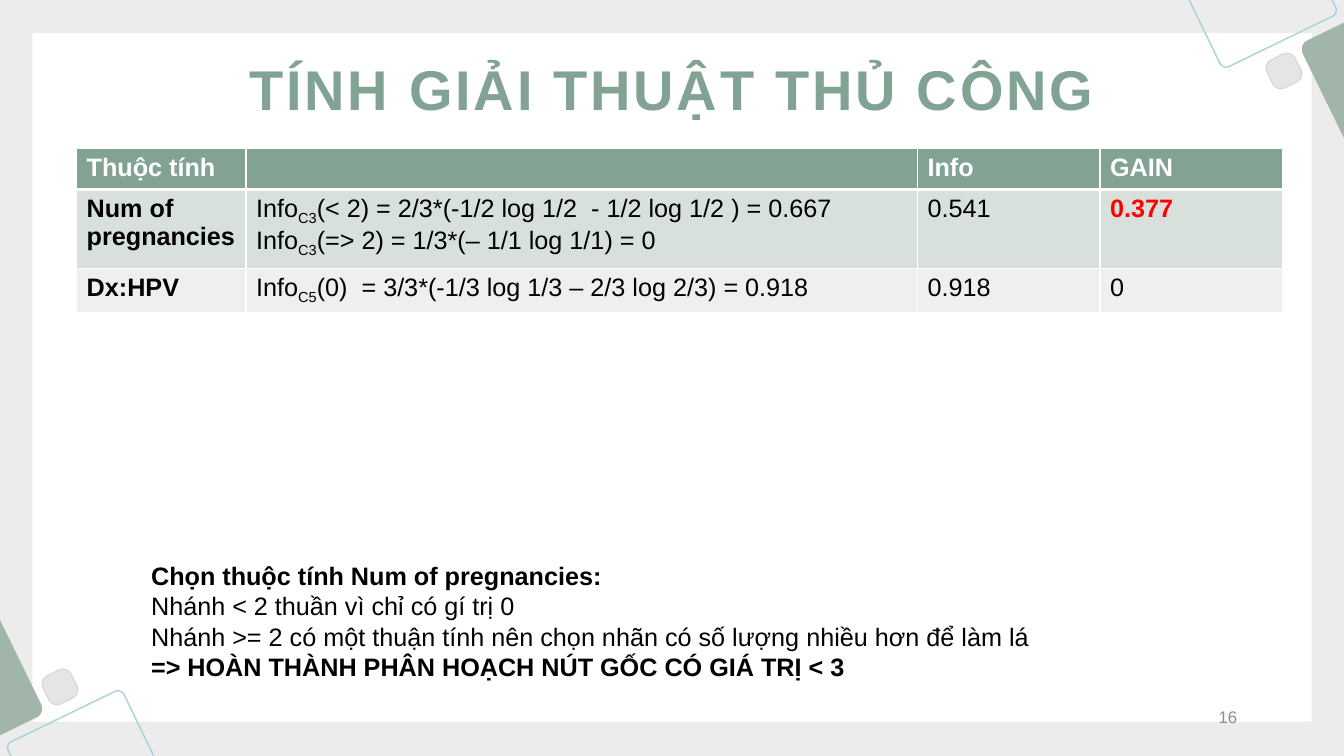
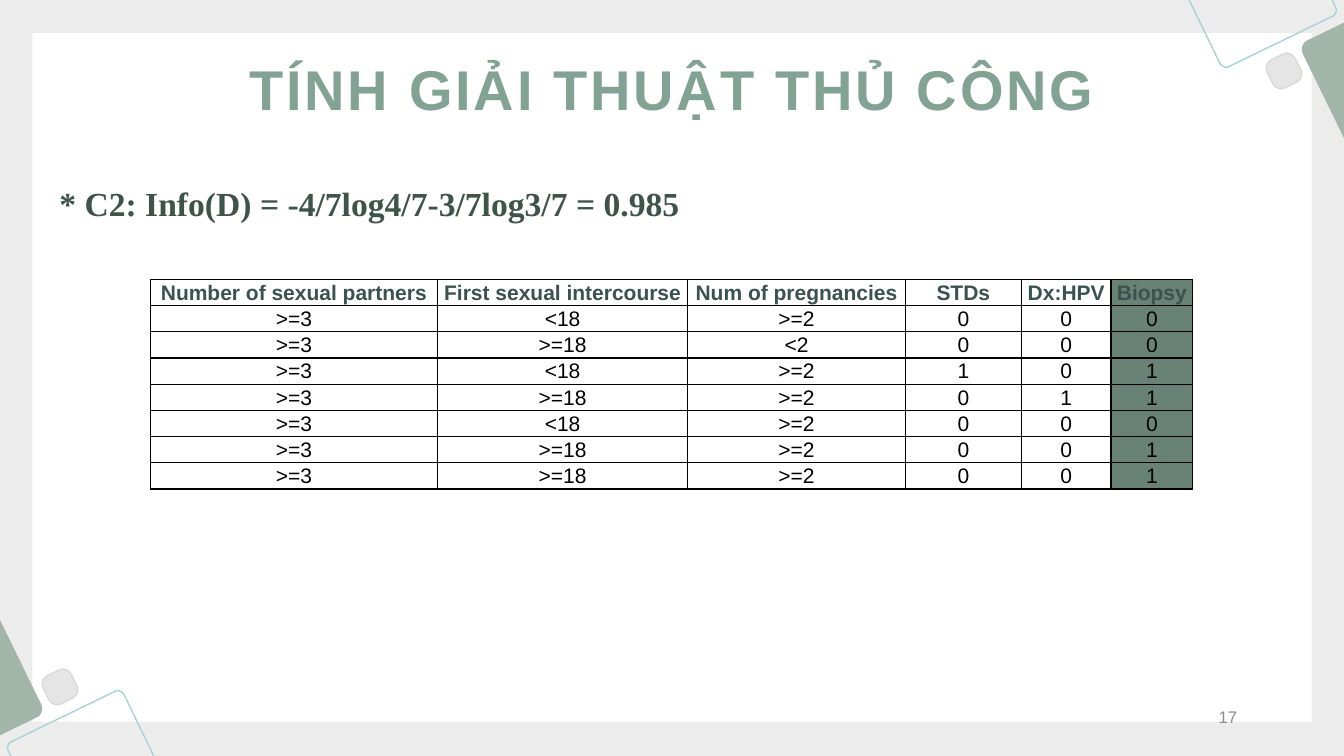
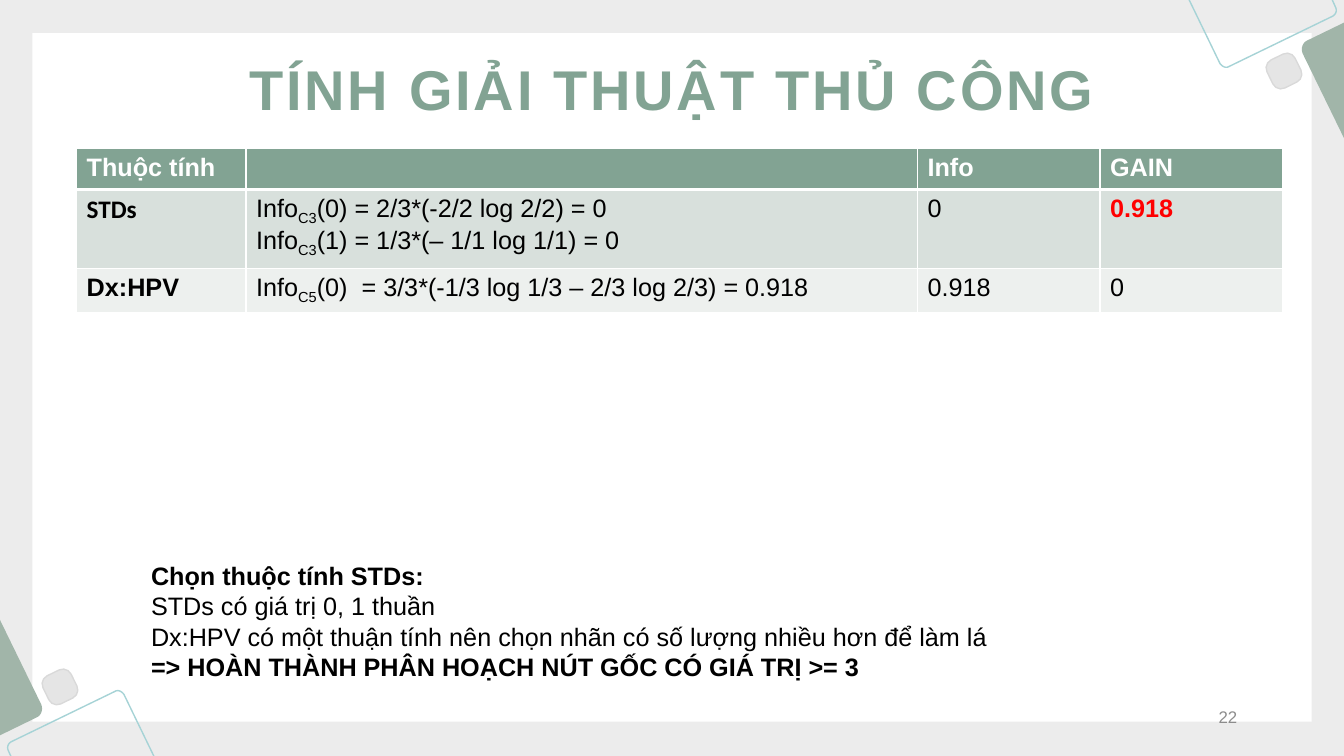
"""Build three slides on working a decision tree algorithm by hand."""
from dataclasses import dataclass

from lxml import etree
from pptx import Presentation
from pptx.dml.color import RGBColor
from pptx.enum.shapes import MSO_SHAPE
from pptx.enum.text import MSO_ANCHOR, MSO_AUTO_SIZE, PP_ALIGN
from pptx.oxml.ns import qn
from pptx.util import Inches, Pt

RECTANGLE, ROUNDED = MSO_SHAPE.RECTANGLE, MSO_SHAPE.ROUNDED_RECTANGLE
MIDDLE, TOP = MSO_ANCHOR.MIDDLE, MSO_ANCHOR.TOP
LEFT, CENTER, RIGHT = PP_ALIGN.LEFT, PP_ALIGN.CENTER, PP_ALIGN.RIGHT
FIT_SHAPE = MSO_AUTO_SIZE.SHAPE_TO_FIT_TEXT

SLIDE_W, SLIDE_H = 13.33, 7.5
MIRROR_H = 7.52
BACKDROP, WHITE, BLACK, RED = "ECECEC", "FFFFFF", "000000", "FF0000"
GREEN, LIGHT_GREEN, TEAL = "82A393", "A1B5A9", "A6D3D6"
SQUARE_FILL, SQUARE_EDGE = "E5E5E5", "D9D9D9"
ROW_FILLS = ("D8E0DC", "EDF0EE")
FORMULA_COLOR, SAMPLE_HEADER, BIOPSY_FILL = "3E544A", "3A5250", "698276"
NUMBER_COLOR = "8C8C8C"

TITLE = "TÍNH GIẢI THUẬT THỦ CÔNG"
GAIN_HEADERS = ("Thuộc tính", "", "Info", "GAIN")
GAIN_WIDTHS = (1.68, 6.66, 1.81, 1.81)
GAIN_HEIGHTS = (0.41, 0.73, 0.41)
SAMPLE_HEADERS = ("Number of sexual partners", "First sexual intercourse",
                  "Num of pregnancies", "STDs", "Dx:HPV", "Biopsy")
SAMPLE_WIDTHS = (2.85, 2.48, 2.16, 1.15, 0.89, 0.81)
SAMPLE_HEIGHT = 0.26
SAMPLES = (
    (">=3", "<18", ">=2", "0", "0", "0"),
    (">=3", ">=18", "<2", "0", "0", "0"),
    (">=3", "<18", ">=2", "1", "0", "1"),
    (">=3", ">=18", ">=2", "0", "1", "1"),
    (">=3", "<18", ">=2", "0", "0", "0"),
    (">=3", ">=18", ">=2", "0", "0", "1"),
    (">=3", ">=18", ">=2", "0", "0", "1"),
)


@dataclass(frozen=True)
class Style:
    size: float
    color: str = BLACK
    bold: bool = False
    font: str = "Arial"
    align: PP_ALIGN = LEFT


@dataclass(frozen=True)
class InfoLine:
    node: str
    formula: str


@dataclass(frozen=True)
class GainRow:
    attribute: str
    lines: tuple[InfoLine, ...]
    info: str
    gain: str
    best: bool = False
    attribute_font: str = "Arial"


@dataclass(frozen=True)
class GainSlide:
    number: int
    rows: tuple[GainRow, ...]
    conclusion: tuple[str, ...]
    conclusion_width: float


@dataclass(frozen=True)
class Outline:
    start: tuple[float, float]
    segments: tuple[tuple[tuple[float, float], ...], ...]
    fill: str | None = None
    line: str | None = None


OUTLINES = (
    Outline((11.79, -0.01),
            (((13.21, -0.01),), ((13.25, 0.08),),
             ((13.26, 0.11), (13.25, 0.14), (13.22, 0.16)),
             ((12.19, 0.66),), ((12.16, 0.68), (12.12, 0.66), (12.1, 0.63))),
            line=TEAL),
    Outline((13.34, 0.22),
            (((13.34, 1.39),), ((12.92, 0.53),),
             ((12.9, 0.48), (12.92, 0.42), (12.97, 0.4))),
            fill=LIGHT_GREEN),
)

HPV_ROW = GainRow("Dx:HPV", (InfoLine("C5", "(0)  = 3/3*(-1/3 log 1/3 – 2/3 log 2/3) = 0.918"),),
                  "0.918", "0")
PREGNANCIES = GainSlide(
    16,
    (GainRow("Num of pregnancies",
             (InfoLine("C3", "(< 2) = 2/3*(-1/2 log 1/2  - 1/2 log 1/2 ) = 0.667"),
              InfoLine("C3", "(=> 2) = 1/3*(– 1/1 log 1/1) = 0")),
             "0.541", "0.377", best=True), HPV_ROW),
    ("Chọn thuộc tính Num of pregnancies:",
     "Nhánh < 2 thuần vì chỉ có gí trị 0",
     "Nhánh >= 2 có một thuận tính nên chọn nhãn có số lượng nhiều hơn để làm lá",
     "=> HOÀN THÀNH PHÂN HOẠCH NÚT GỐC CÓ GIÁ TRỊ < 3"), 8.99)
STDS = GainSlide(
    22,
    (GainRow("STDs",
             (InfoLine("C3", "(0) = 2/3*(-2/2 log 2/2) = 0"),
              InfoLine("C3", "(1) = 1/3*(– 1/1 log 1/1) = 0")),
             "0", "0.918", best=True, attribute_font="Calibri"), HPV_ROW),
    ("Chọn thuộc tính STDs:",
     "STDs có giá trị 0, 1 thuần",
     "Dx:HPV có một thuận tính nên chọn nhãn có số lượng nhiều hơn để làm lá",
     "=> HOÀN THÀNH PHÂN HOẠCH NÚT GỐC CÓ GIÁ TRỊ >= 3"), 8.57)


def rgb(color: str) -> RGBColor:
    return RGBColor.from_string(color)


def paint(shape, fill: str | None, line: str | None) -> None:
    shape.shadow.inherit = False
    if fill:
        shape.fill.solid()
        shape.fill.fore_color.rgb = rgb(fill)
    else:
        shape.fill.background()
    if line:
        shape.line.color.rgb = rgb(line)
        shape.line.width = Pt(1)
    else:
        shape.line.fill.background()


def style_paragraph(paragraph, style: Style) -> None:
    paragraph.alignment = style.align
    for run in paragraph.runs:
        run.font.name = style.font
        run.font.size = Pt(style.size)
        run.font.bold = style.bold
        run.font.color.rgb = rgb(style.color)


def add_text(slide, box: tuple[float, ...], text: str, style: Style, anchor=MIDDLE):
    frame = slide.shapes.add_textbox(*map(Inches, box)).text_frame
    frame.word_wrap = True
    frame.vertical_anchor = anchor
    frame.text = text
    for paragraph in frame.paragraphs:
        style_paragraph(paragraph, style)
    return frame


def bezier(points: tuple[tuple[float, float], ...], steps: int = 8) -> list[tuple[float, float]]:
    weights = [((1 - t) ** 3, 3 * t * (1 - t) ** 2, 3 * t * t * (1 - t), t ** 3)
               for t in (step / steps for step in range(1, steps + 1))]
    return [tuple(sum(w * point[axis] for w, point in zip(row, points)) for axis in (0, 1))
            for row in weights]


def trace(outline: Outline) -> list[tuple[float, float]]:
    points = [outline.start]
    for segment in outline.segments:
        points += bezier((points[-1], *segment)) if len(segment) == 3 else segment
    return points


def add_corner(slide, mirrored: bool) -> list:
    def place(x: float, y: float) -> tuple[int, int]:
        return (Inches(SLIDE_W - x), Inches(MIRROR_H - y)) if mirrored else (Inches(x), Inches(y))

    ornaments = []
    for outline in OUTLINES:
        start, *rest = [place(*point) for point in trace(outline)]
        builder = slide.shapes.build_freeform(*start)
        builder.add_line_segments(rest, close=True)
        ornament = builder.convert_to_shape()
        paint(ornament, outline.fill, outline.line)
        ornaments.append(ornament)
    side = Inches(0.31)
    center_x, center_y = place(12.735, 0.705)
    square = slide.shapes.add_shape(ROUNDED, center_x - side // 2, center_y - side // 2, side, side)
    square.adjustments[0] = 0.286
    square.rotation = 334
    paint(square, SQUARE_FILL, SQUARE_EDGE)
    return ornaments + [square]


def decorate_layout(prs, layout) -> None:
    """Draw the panel and corner ornaments once, on the layout all slides use."""
    prs.slide_master.background.fill.solid()
    prs.slide_master.background.fill.fore_color.rgb = rgb(BACKDROP)
    for placeholder in list(layout.placeholders):
        placeholder.element.getparent().remove(placeholder.element)
    first_slide = prs.slides[0]
    panel = first_slide.shapes.add_shape(RECTANGLE, *map(Inches, (0.32, 0.33, 12.69, 6.83)))
    paint(panel, WHITE, None)
    for shape in [panel, *add_corner(first_slide, False), *add_corner(first_slide, True)]:
        layout.shapes.element.append(shape.element)


def add_frame(slide, number: int) -> None:
    title = add_text(slide, (1.4, 0.29, 10.53, 1.16), TITLE, Style(40, GREEN, True, align=CENTER))
    title.paragraphs[0].runs[0].font._element.set("spc", "200")
    add_text(slide, (9.42, 6.94, 2.95, 0.35), str(number), Style(12, NUMBER_COLOR, align=RIGHT))


def dress_cell(cell, fill: str, border: str, top: float = 1, bottom: float = 1) -> None:
    properties = cell._tc.get_or_add_tcPr()
    for side, width in (("L", 1), ("R", 1), ("T", top), ("B", bottom)):
        edge = etree.SubElement(properties, qn(f"a:ln{side}"), w=str(Pt(width)))
        solid = etree.SubElement(edge, qn("a:solidFill"))
        etree.SubElement(solid, qn("a:srgbClr"), val=border)
    cell.fill.solid()
    cell.fill.fore_color.rgb = rgb(fill)


def add_grid(slide, left: float, top: float, widths: tuple[float, ...], heights: tuple[float, ...]):
    table = slide.shapes.add_table(len(heights), len(widths), Inches(left), Inches(top),
                                   Inches(sum(widths)), Inches(sum(heights))).table
    table.horz_banding = False
    for column, width in zip(table.columns, widths):
        column.width = Inches(width)
    for row, height in zip(table.rows, heights):
        row.height = Inches(height)
    return table


def write_cell(cell, text: str, style: Style) -> None:
    cell.text_frame.text = text
    style_paragraph(cell.text_frame.paragraphs[0], style)


def write_info(cell, lines: tuple[InfoLine, ...]) -> None:
    frame = cell.text_frame
    for index, line in enumerate(lines):
        paragraph = frame.add_paragraph() if index else frame.paragraphs[0]
        for part in ("Info", line.node, line.formula):
            paragraph.add_run().text = part
        style_paragraph(paragraph, Style(18))
        paragraph.runs[1].font._element.set("baseline", "-25000")


def add_gain_slide(slide, content: GainSlide) -> None:
    add_frame(slide, content.number)
    table = add_grid(slide, 0.76, 1.47, GAIN_WIDTHS, GAIN_HEIGHTS)
    for column, header in enumerate(GAIN_HEADERS):
        cell = table.cell(0, column)
        write_cell(cell, header, Style(18, WHITE, True))
        dress_cell(cell, GREEN, WHITE, bottom=3)
    for index, row in enumerate(content.rows):
        cells = table.rows[index + 1].cells
        attribute, formulas, info, gain = cells
        write_cell(attribute, row.attribute, Style(18, bold=True, font=row.attribute_font))
        write_info(formulas, row.lines)
        write_cell(info, row.info, Style(18))
        write_cell(gain, row.gain, Style(18, RED if row.best else BLACK, row.best))
        for cell in (attribute, formulas, info, gain):
            dress_cell(cell, ROW_FILLS[index], WHITE, top=1 if index else 3)
    conclusion = add_text(slide, (1.4, 5.51, content.conclusion_width, 1.31),
                          "\n".join(content.conclusion), Style(18), TOP)
    conclusion.word_wrap = False
    conclusion.auto_size = FIT_SHAPE
    for paragraph in (conclusion.paragraphs[0], conclusion.paragraphs[-1]):
        style_paragraph(paragraph, Style(18, bold=True))


def add_sample_slide(slide) -> None:
    add_frame(slide, 17)
    add_text(slide, (0.49, 1.51, 12.16, 1.01), "* C2: Info(D) = -4/7log4/7-3/7log3/7 = 0.985",
             Style(24, FORMULA_COLOR, True, "Times New Roman"))
    records = (SAMPLE_HEADERS, *SAMPLES)
    table = add_grid(slide, 1.49, 2.77, SAMPLE_WIDTHS, (SAMPLE_HEIGHT,) * len(records))
    header_style = Style(15, SAMPLE_HEADER, True, align=CENTER)
    value_style = Style(15, align=CENTER)
    for row, record in enumerate(records):
        for column, value in enumerate(record):
            cell = table.cell(row, column)
            cell.margin_left = cell.margin_right = cell.margin_top = Inches(0.01)
            cell.margin_bottom = 0
            cell.vertical_anchor = MIDDLE
            write_cell(cell, value, value_style if row else header_style)
            is_biopsy = column == len(record) - 1
            dress_cell(cell, BIOPSY_FILL if is_biopsy else WHITE, BLACK)


def main() -> None:
    prs = Presentation()
    prs.slide_width, prs.slide_height = Inches(SLIDE_W), Inches(SLIDE_H)
    blank = prs.slide_layouts[6]
    pregnancies, samples, stds = [prs.slides.add_slide(blank) for _ in range(3)]
    decorate_layout(prs, blank)
    add_gain_slide(pregnancies, PREGNANCIES)
    add_sample_slide(samples)
    add_gain_slide(stds, STDS)
    prs.save("out.pptx")


if __name__ == "__main__":
    main()
